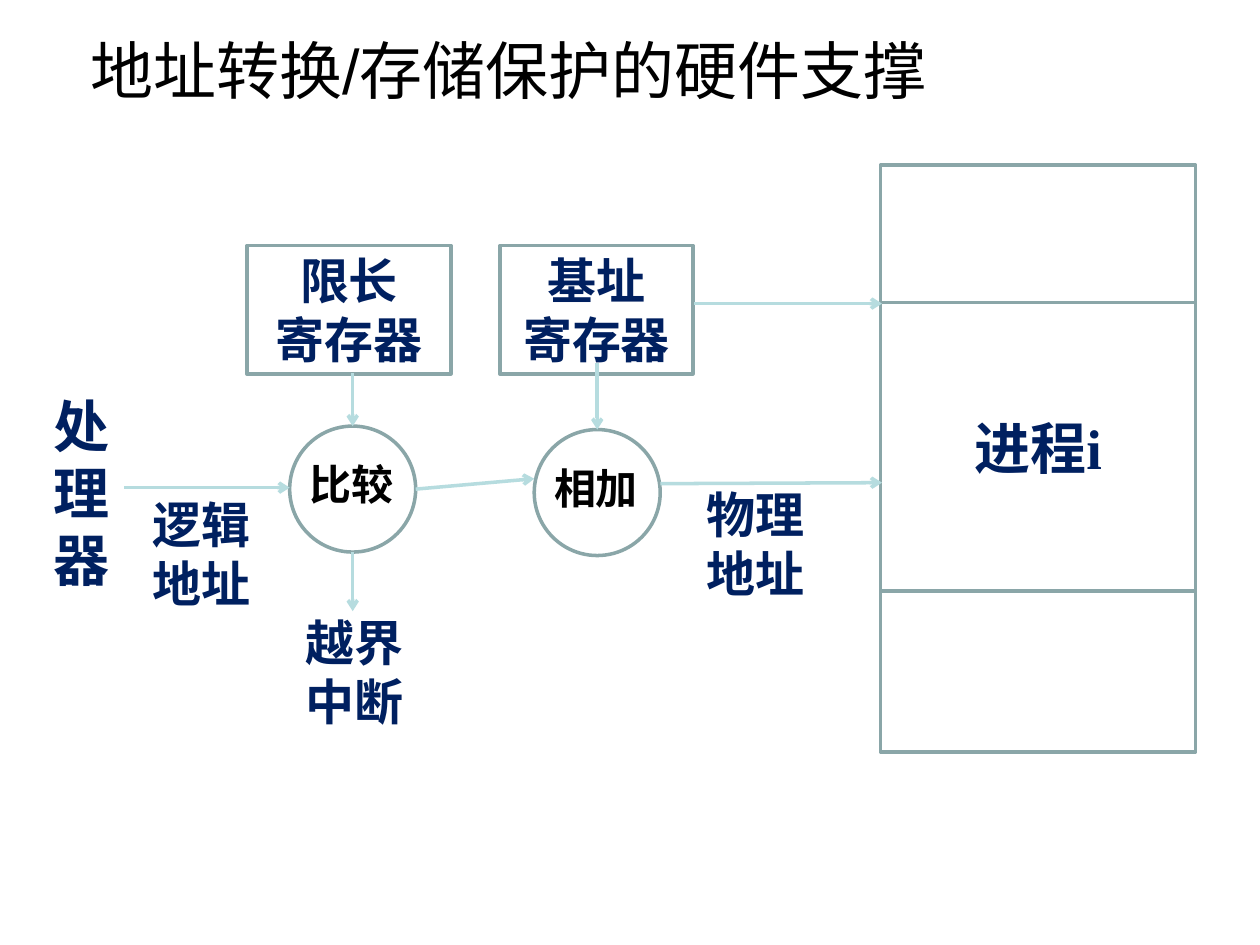
from lxml.etree import SubElement
from pptx import Presentation
from pptx.dml.color import RGBColor
from pptx.enum.shapes import MSO_CONNECTOR, MSO_SHAPE
from pptx.enum.text import MSO_ANCHOR, PP_ALIGN
from pptx.oxml.ns import qn
from pptx.util import Cm, Pt

BLACK = RGBColor(0x00, 0x00, 0x00)
NAVY = RGBColor(0x00, 0x20, 0x60)
OUTLINE = RGBColor(0x8A, 0xA6, 0xA8)
ARROW = RGBColor(0xB6, 0xDC, 0xDF)
SERIF = "Times New Roman"
SANS = "Noto Sans CJK SC"
LINE_WIDTH = Pt(2)


class Diagram:
    def __init__(self, slide):
        self.slide = slide

    def fill_text(self, shape, lines, size, font=SERIF, color=NAVY, bold=True,
                  align=PP_ALIGN.CENTER, anchor=MSO_ANCHOR.MIDDLE, side_inset=0.25):
        frame = shape.text_frame
        frame.word_wrap = True
        frame.vertical_anchor = anchor
        frame.margin_left = frame.margin_right = Cm(side_inset)
        frame.text = "\n".join(lines)
        for paragraph in frame.paragraphs:
            paragraph.alignment = align
            paragraph.font.name = font
            paragraph.font.size = Pt(size)
            paragraph.font.bold = bold
            paragraph.font.color.rgb = color

    def text(self, left, top, width, height, lines, size, **style):
        box = self.slide.shapes.add_textbox(Cm(left), Cm(top), Cm(width), Cm(height))
        self.fill_text(box, lines, size, **style)

    def outline(self, kind, left, top, width, height):
        shape = self.slide.shapes.add_shape(kind, Cm(left), Cm(top), Cm(width), Cm(height))
        shape.shadow.inherit = False
        shape.fill.background()
        shape.line.color.rgb = OUTLINE
        shape.line.width = LINE_WIDTH
        return shape

    def register(self, left, width, name):
        box = self.outline(MSO_SHAPE.RECTANGLE, left, 4.95, width, 2.59)
        self.fill_text(box, [name, "寄存器"], 28, side_inset=0.05)

    def operation(self, left, top, name):
        circle = self.outline(MSO_SHAPE.OVAL, left, top, 2.54, 2.54)
        self.text(left, top + 0.53, 2.49, 1.27, [name], 24,
                  font=SANS, color=BLACK, anchor=MSO_ANCHOR.TOP)
        return circle

    def arrow(self, start, end, target=None):
        """Draw an arrow, joined to the top of target if one is given."""
        connector = self.slide.shapes.add_connector(
            MSO_CONNECTOR.STRAIGHT, *map(Cm, start + end))
        if target is not None:
            connector.end_connect(target, 0)
        connector.line.color.rgb = ARROW
        connector.line.width = LINE_WIDTH
        properties = connector._element.spPr
        SubElement(properties.find(qn("a:ln")), qn("a:tailEnd"), type="arrow")
        SubElement(properties, qn("a:effectLst"))


def main():
    presentation = Presentation()
    presentation.slide_width, presentation.slide_height = Cm(25.4), Cm(19.05)
    diagram = Diagram(presentation.slides.add_slide(presentation.slide_layouts[6]))

    diagram.text(1.57, 0, 23.83, 2.79, ["地址转换/存储保护的硬件支撑"], 36,
                 font="Arial", color=BLACK, bold=False, align=PP_ALIGN.LEFT)

    # Memory: three stacked areas, the middle one holding the process
    top = 3.33
    for height, name in [(2.77, None), (5.81, "进程i"), (3.25, None)]:
        area = diagram.outline(MSO_SHAPE.RECTANGLE, 17.75, top, 6.35, height)
        if name:
            diagram.fill_text(area, [name], 32)
        top += height

    diagram.register(4.98, 4.11, "限长")
    diagram.register(10.08, 3.89, "基址")
    compare = diagram.operation(5.84, 8.59, "比较")
    add = diagram.operation(10.77, 8.66, "相加")

    diagram.text(0.76, 7.52, 1.75, 4.8, ["处理器"], 32)
    for left, label_top, width, lines in [
        (2.62, 9.93, 2.9, ["逻辑", "地址"]),
        (13.51, 9.73, 3.45, ["物理", "地址"]),
        (5.69, 12.32, 2.9, ["越界中断"]),
    ]:
        diagram.text(left, label_top, width, 2.44, lines, 28, side_inset=0.05)

    for start, end, target in [
        ((2.51, 9.83), (5.84, 9.83), None),
        ((7.11, 7.52), (7.11, 8.59), compare),
        ((7.11, 11.13), (7.11, 12.32), None),
        ((8.38, 9.86), (10.77, 9.65), None),
        ((12.04, 7.32), (12.04, 8.66), add),
        ((13.31, 9.75), (17.78, 9.73), None),
        ((13.99, 6.12), (17.78, 6.12), None),
    ]:
        diagram.arrow(start, end, target)

    presentation.save("out.pptx")


if __name__ == "__main__":
    main()
